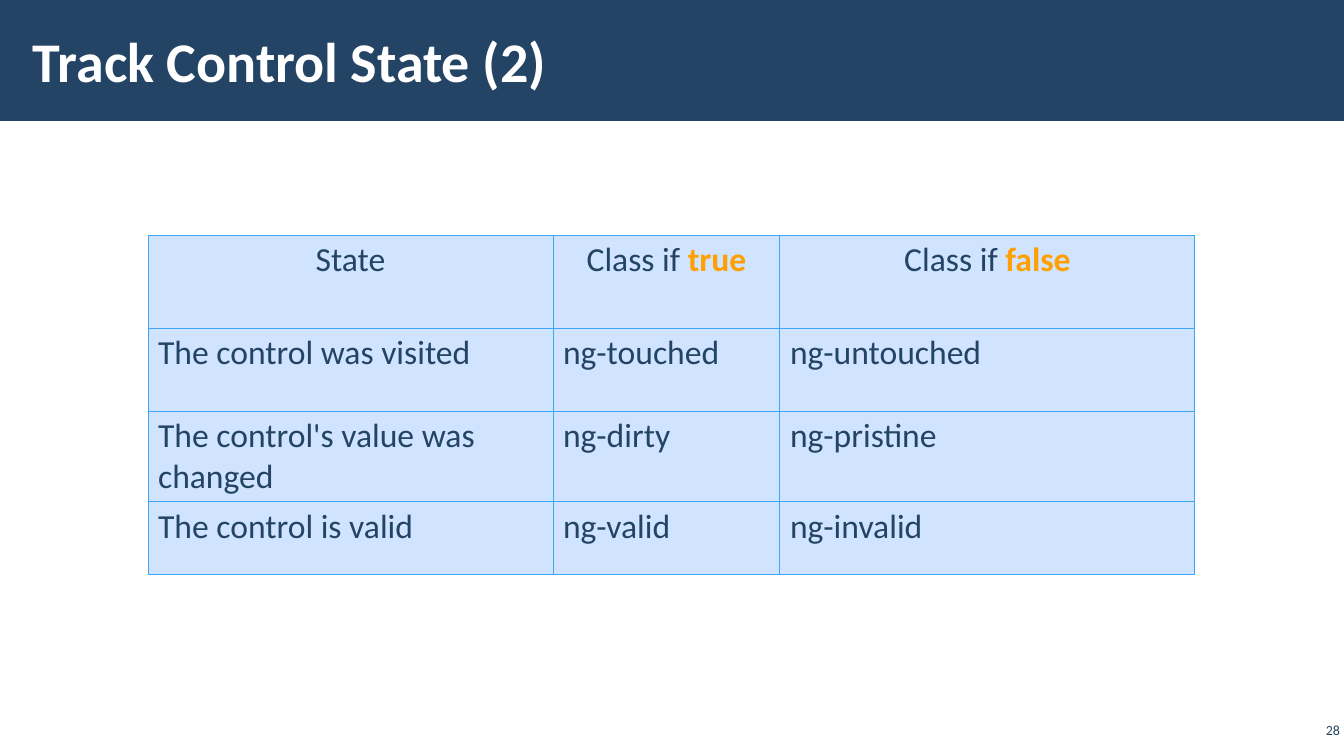
from lxml.etree import SubElement
from pptx import Presentation
from pptx.dml.color import RGBColor
from pptx.enum.shapes import MSO_SHAPE as Shape
from pptx.enum.text import MSO_ANCHOR as Anchor, PP_ALIGN as Align
from pptx.oxml.ns import qn
from pptx.util import Emu, Pt

EMU_PER_PX = 9071  # 100.8 px to the inch
NAVY = RGBColor(0x23, 0x44, 0x65)
WHITE = RGBColor(0xFF, 0xFF, 0xFF)
ORANGE = RGBColor(0xFF, 0xA0, 0x00)
PALE_BLUE = RGBColor(0xD0, 0xE3, 0xFF)
BORDER_BLUE = RGBColor(0x3E, 0xA6, 0xF7)

COLUMN_WIDTHS = [405, 227, 415]
ROW_HEIGHTS = [93, 83, 91, 73]
HEADERS = [("State", ""), ("Class if ", "true"), ("Class if ", "false")]
STATES = [
    ("The control was visited", "ng-touched", "ng-untouched"),
    ("The control's value was \vchanged", "ng-dirty", "ng-pristine"),
    ("The control is valid", "ng-valid", "ng-invalid"),
]


def px(length):
    return Emu(length * EMU_PER_PX)


class SlidePainter:
    font_name = "Calibri"

    def __init__(self, slide):
        self.slide = slide

    def style(self, para, size, color, bold=False):
        for span in para.runs:
            font = span.font
            font.name, font.size, font.bold = self.font_name, Pt(size), bold
            font.color.rgb = color

    def band(self, left, top, width, height, color):
        band = self.slide.shapes.add_shape(
            Shape.RECTANGLE, px(left), px(top), px(width), px(height))
        band.shadow.inherit = False
        band.fill.solid()
        band.fill.fore_color.rgb = color
        band.line.fill.background()

    def text(self, left, top, width, height, words, size, color,
             bold=False, align=Align.LEFT, side_inset=4):
        box = self.slide.shapes.add_textbox(
            px(left), px(top), px(width), px(height))
        frame = box.text_frame
        frame.word_wrap = True
        frame.vertical_anchor = Anchor.MIDDLE
        frame.margin_left = frame.margin_right = px(side_inset)
        frame.margin_top = frame.margin_bottom = px(4)
        frame.text = words
        para = frame.paragraphs[0]
        para.alignment = align
        self.style(para, size, color, bold)

    def border(self, cell):
        properties = cell._tc.get_or_add_tcPr()
        for position, side in enumerate(("a:lnL", "a:lnR", "a:lnT", "a:lnB")):
            line = SubElement(properties, qn(side), w=str(Pt(0.75)))
            fill = SubElement(line, qn("a:solidFill"))
            SubElement(fill, qn("a:srgbClr"), val=str(BORDER_BLUE))
            properties.insert(position, line)  # borders precede the fill

    def table(self, left, top, widths, heights, headers, rows):
        """Draw a table whose headers are (plain, highlighted) pairs."""
        table = self.slide.shapes.add_table(
            len(heights), len(widths), px(left), px(top),
            px(sum(widths)), px(sum(heights))).table
        for column, width in zip(table.columns, widths):
            column.width = px(width)
        for row, height in zip(table.rows, heights):
            row.height = px(height)
        for cell in table.iter_cells():
            cell.fill.solid()
            cell.fill.fore_color.rgb = PALE_BLUE
            self.border(cell)
        for column, (plain, highlight) in enumerate(headers):
            para = table.cell(0, column).text_frame.paragraphs[0]
            para.text = plain
            para.alignment = Align.CENTER
            self.style(para, 24, NAVY)
            if highlight:
                span = para.add_run()
                span.text = highlight
                self.style(para, 24, NAVY)
                span.font.bold = True
                span.font.color.rgb = ORANGE
        for row_number, row in enumerate(rows, start=1):
            for column, words in enumerate(row):
                para = table.cell(row_number, column).text_frame.paragraphs[0]
                para.text = words
                self.style(para, 24, NAVY)


def main():
    deck = Presentation()
    deck.slide_width, deck.slide_height = px(1344), px(756)
    page = SlidePainter(deck.slides.add_slide(deck.slide_layouts[6]))
    page.band(0, 0, 1344, 121, NAVY)
    page.text(1296, 719, 48, 22, "28", 10, NAVY, align=Align.RIGHT)
    page.table(148, 235, COLUMN_WIDTHS, ROW_HEIGHTS, HEADERS, STATES)
    page.text(21, 11, 1047, 98, "Track Control State (2)", 40, WHITE,
              bold=True, side_inset=12)
    deck.save("out.pptx")


if __name__ == "__main__":
    main()
